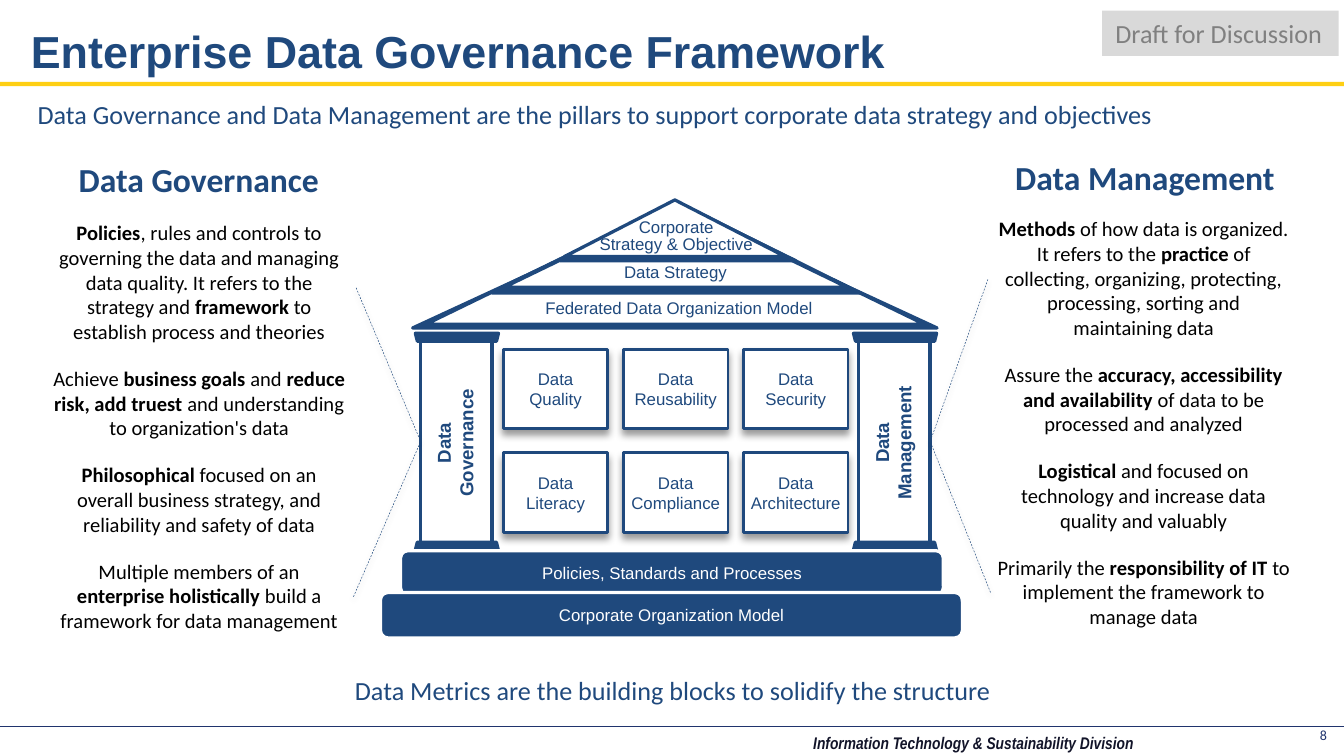
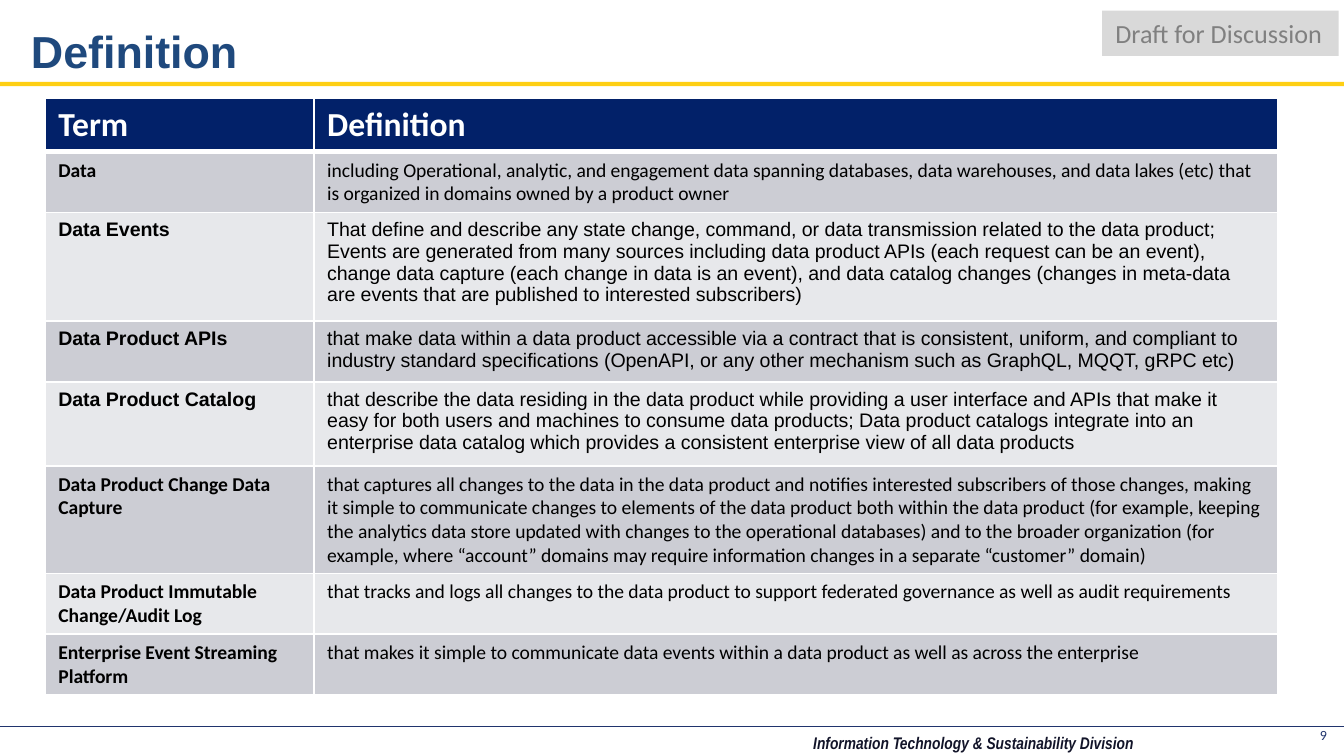
from lxml import etree
from pptx import Presentation
from pptx import util as u
from pptx.dml import color
from pptx.enum import dml, shapes, text
from pptx.oxml import ns

NAVY = "1F497D"
WHITE = "FFFFFF"
BLACK = "000000"
GOLD = "FECF13"
RULE = "20346D"
FOOTER_INK = "121429"
TAG_FILL = "D9D9D9"
TAG_INK = "808080"
TABLE_HEAD = "022169"
TABLE_BANDS = ("CCCDD4", "E7E8EB")
CENTER = text.PP_ALIGN.CENTER
LEFT = text.PP_ALIGN.LEFT
RIGHT = text.PP_ALIGN.RIGHT
KIND = shapes.MSO_SHAPE

GOVERNANCE = """*Policies*, rules and controls to governing the data and managing data quality. It refers to the strategy and *framework* to establish process and theories
Achieve *business goals *and *reduce risk, add truest *and understanding to organization's data
*Philosophical *focused on an overall business strategy, and reliability and safety of data
Multiple members of an *enterprise holistically* build a framework for data management"""

MANAGEMENT = """*Methods* of how data is organized. It refers to the *practice* of collecting, organizing, protecting, processing, sorting and maintaining data
Assure the *accuracy, accessibility and availability *of data to be processed and analyzed
*Logistical *and focused on technology and increase data quality and valuably
Primarily the *responsibility of IT *to implement the framework to manage data"""

ROOF = [
    (7.8, 3.91, 9.91, 2.29, NAVY),
    (8.05, 3.84, 9.42, 2.29, WHITE),
    (9.3, 3.81, 6.96, 1.73, NAVY),
    (9.53, 3.86, 6.48, 1.57, WHITE),
    (10.59, 3.84, 4.45, 1.09, NAVY),
    (10.67, 3.78, 4.17, 1.07, WHITE),
]

TILES = ["Data\nQuality", "Data Reusability", "Data Security",
         "Data Literacy", "Data Compliance", "Data Architecture"]

DEFINITIONS = [
    ("Data", "including Operational, analytic, and engagement data spanning databases, data warehouses, and data lakes (etc) that is organized in domains owned by a product owner", "Calibri", 1.13),
    ("Data Events", "That define and describe any state change, command, or data transmission related to the data product; Events are generated from many sources including data product APIs (each request can be an event), change data capture (each change in data is an event), and data catalog changes (changes in meta-data are events that are published to interested subscribers)", "Arial", 2.06),
    ("Data Product APIs", "that make data within a data product accessible via a contract that is consistent, uniform, and compliant to industry standard specifications (OpenAPI, or any other mechanism such as GraphQL, MQQT, gRPC etc)", "Arial", 1.13),
    ("Data Product Catalog", "that describe the data residing in the data product while providing a user interface and APIs that make it easy for both users and machines to consume data products; Data product catalogs integrate into an enterprise data catalog which provides a consistent enterprise view of all data products", "Arial", 1.58),
    ("Data Product Change Data Capture", "that captures all changes to the data in the data product and notifies interested subscribers of those changes, making it simple to communicate changes to elements of the data product both within the data product (for example, keeping the analytics data store updated with changes to the operational databases) and to the broader organization (for example, where “account” domains may require information changes in a separate “customer” domain)", "Calibri", 2.04),
    ("Data Product Immutable Change/Audit Log", "that tracks and logs all changes to the data product to support federated governance as well as audit requirements", "Calibri", 1.13),
    ("Enterprise Event Streaming Platform", "that makes it simple to communicate data events within a data product as well as across the enterprise", "Calibri", 1.13),
]


def rgb(value):
    return color.RGBColor.from_string(value)


def write(frame, content, size, ink, font="Calibri", bold=False, italic=False,
          align=LEFT, before=0, line=None):
    frame.text = content
    for paragraph in frame.paragraphs:
        pieces = paragraph.text.split("*")
        paragraph.text = ""
        paragraph.alignment = align
        paragraph.space_before = u.Pt(before)
        if line:
            paragraph.line_spacing = u.Pt(line)
        for index, piece in enumerate(pieces):
            if piece:
                run = paragraph.add_run()
                run.text = piece
                run.font.size = u.Pt(size)
                run.font.name = font
                run.font.bold = bold or index % 2 == 1
                run.font.italic = italic
                run.font.color.rgb = rgb(ink)


def set_insets(frame, side, edge):
    frame.margin_left = frame.margin_right = u.Cm(side)
    frame.margin_top = frame.margin_bottom = u.Cm(edge)


def place(shape, left, top, width, height):
    shape.left, shape.top = u.Cm(left), u.Cm(top)
    shape.width, shape.height = u.Cm(width), u.Cm(height)


def set_effects(shape, opacity=0, blur=0, distance=0):
    effects = etree.SubElement(shape._element.spPr, ns.qn("a:effectLst"))
    if opacity:
        shadow = etree.SubElement(effects, ns.qn("a:outerShdw"), blurRad=str(u.Pt(blur)),
                                  dist=str(u.Pt(distance)), dir="5400000", rotWithShape="0")
        tint = etree.SubElement(shadow, ns.qn("a:srgbClr"), val=BLACK)
        etree.SubElement(tint, ns.qn("a:alpha"), val=str(opacity * 1000))


def add_block(parent, kind, box, fill, outline=None, weight=1.75):
    block = parent.add_shape(kind, *map(u.Cm, box))
    block.fill.solid()
    block.fill.fore_color.rgb = rgb(fill)
    if outline:
        block.line.color.rgb = rgb(outline)
        block.line.width = u.Pt(weight)
    else:
        block.line.fill.background()
    return block


def add_plain_block(*args):
    block = add_block(*args)
    block.shadow.inherit = False
    return block


def add_label(parent, box, content, size, ink, wrap=True, **style):
    label = parent.add_textbox(*map(u.Cm, box))
    label.text_frame.word_wrap = wrap
    write(label.text_frame, content, size, ink, **style)
    return label


def add_line(parent, start, end, ink):
    line = parent.add_connector(shapes.MSO_CONNECTOR.STRAIGHT, *map(u.Cm, start + end))
    line.line.color.rgb = rgb(ink)
    line.line.width = u.Pt(0.25)
    return line


def add_framed_slide(deck, layout, title, title_width, number):
    slide = deck.slides.add_slide(deck.slide_layouts[layout])
    heading = slide.shapes.title
    place(heading, 0.33, 0.23, title_width, 1.07)
    frame = heading.text_frame
    frame.auto_size = text.MSO_AUTO_SIZE.NONE
    frame.vertical_anchor = text.MSO_ANCHOR.TOP
    frame.margin_top = u.Cm(0.22)
    write(frame, title, 24, NAVY, font="Arial", bold=True)

    add_plain_block(slide.shapes, KIND.RECTANGLE, (0, 1.55, 25.4, 0.08), GOLD)
    set_effects(add_line(slide.shapes, (0, 13.72), (25.4, 13.72), RULE))
    division = add_label(slide.shapes, (15.19, 13.77, 8.81, 0.56),
                         "Information Technology & Sustainability Division", 9,
                         FOOTER_INK, font="Arial Narrow", bold=True, italic=True)
    set_insets(division.text_frame, 0.18, 0.08)
    add_label(slide.shapes, (23.93, 13.61, 1.4, 0.61), number, 7.5, RULE, align=RIGHT)

    draft = add_plain_block(slide.shapes, KIND.RECTANGLE, (20.83, 0.2, 4.47, 0.86), TAG_FILL)
    draft.text_frame.word_wrap = False
    draft.text_frame.vertical_anchor = text.MSO_ANCHOR.TOP
    write(draft.text_frame, "Draft for Discussion", 14, TAG_INK)
    return slide


def fill_body(body, box, content, size, ink, **style):
    place(body, *box)
    frame = body.text_frame
    frame.auto_size = text.MSO_AUTO_SIZE.NONE
    frame.vertical_anchor = text.MSO_ANCHOR.TOP
    write(frame, content, size, ink, align=CENTER, **style)
    for paragraph in frame.paragraphs:
        props = paragraph._p.get_or_add_pPr()
        props.set("marL", "0")
        props.set("indent", "0")
        etree.SubElement(props, ns.qn("a:buNone"))


def add_column(house, left, content):
    column = add_plain_block(house, KIND.RECTANGLE, (left, 6.44, 1.35, 3.81), WHITE, NAVY)
    for top, turn in ((10.25, 0), (6.3, 180)):
        cap = add_plain_block(house, KIND.TRAPEZOID, (left - 0.1, top, 1.57, 0.15), NAVY, NAVY)
        cap.rotation = turn
    label = add_label(house, (left - 1.07, 7.81, 3.45, 1.12), content, 10, NAVY,
                      font="Arial", bold=True, align=CENTER)
    label.rotation = 270
    return column


def add_step(house, box, content):
    step = add_plain_block(house, KIND.ROUNDED_RECTANGLE, box, NAVY, WHITE)
    step.text_frame.vertical_anchor = text.MSO_ANCHOR.MIDDLE
    write(step.text_frame, content, 9, WHITE, font="Arial", align=CENTER)


def add_tile(house, index, content):
    row, position = divmod(index, 3)
    box = (9.51 + 2.27 * position, 6.6 + 1.96 * row, 1.98, 1.5)
    tile = add_block(house, KIND.RECTANGLE, box, WHITE, NAVY, 1.5)
    set_effects(tile, 40, 4, 3)
    set_insets(tile.text_frame, 0.1, 0.13)
    tile.text_frame.word_wrap = True
    tile.text_frame.vertical_anchor = text.MSO_ANCHOR.MIDDLE
    write(tile.text_frame, content, 9, NAVY, font="Arial", align=CENTER)


def add_house(slide):
    house = slide.shapes.add_group_shape().shapes
    for *box, fill in ROOF:
        add_plain_block(house, KIND.ISOSCELES_TRIANGLE, box, fill, NAVY)
    columns = [add_column(house, 7.95, "Data\nGovernance"),
               add_column(house, 16.23, "Data Management")]
    add_step(house, (7.57, 10.41, 10.26, 0.84), "Policies, Standards and Processes")
    add_step(house, (7.19, 11.2, 11, 0.86), "Corporate Organization Model")
    floors = [((9.12, 5.51, 7.42, 0.64), "Federated Data Organization Model", None),
              ((10.54, 4.83, 4.45, 0.64), "Data Strategy", None),
              ((10.8, 4.04, 3.96, 0.89), "Corporate\nStrategy & Objective", 9)]
    for box, content, line in floors:
        add_label(house, box, content, 9, NAVY, font="Arial", align=CENTER, line=line)
    for index, content in enumerate(TILES):
        add_tile(house, index, content)
    return columns


def add_callout(slide, start, column, site):
    callout = add_line(slide.shapes, start, start, NAVY)
    callout.end_connect(column, site)
    callout.line.dash_style = dml.MSO_LINE.DASH
    set_effects(callout, 38, 3.1, 1.6)


def build_framework(deck):
    slide = add_framed_slide(deck, 4, "Enterprise Data Governance Framework", 26.34, "8")
    governance, management = add_house(slide)
    sides = [(1, (0.79, 2.87), "Data Governance", (0.74, 4.04), GOVERNANCE),
             (3, (18.67, 2.84), "Data Management", (18.59, 3.96), MANAGEMENT)]
    for index, head_at, heading, body_at, content in sides:
        fill_body(slide.placeholders[index], head_at + (5.94, 1.02), heading, 18, NAVY, bold=True)
        fill_body(slide.placeholders[index + 1], body_at + (6.05, 9.02), content, 11, BLACK, before=12)
    add_label(slide.shapes, (0.46, 1.73, 21.69, 0.86),
              "Data Governance and Data Management are the pillars to support corporate data strategy and objectives",
              14, NAVY, wrap=False)
    for start, column, site in (((6.73, 5.44), governance, 1), ((6.68, 11.28), governance, 1),
                                ((18.67, 5.28), management, 3), ((18.72, 11.2), management, 3)):
        add_callout(slide, start, column, site)
    add_label(slide.shapes, (6.33, 12.62, 12.78, 0.86),
              "Data Metrics are the building blocks to solidify the structure",
              14, NAVY, wrap=False, align=CENTER)


def fill_cell(cell, content, size, ink, font, bold, fill, top, bottom):
    props = cell._tc.get_or_add_tcPr()
    for side, weight in (("L", 1), ("R", 1), ("T", top), ("B", bottom)):
        border = etree.SubElement(props, ns.qn("a:ln" + side), w=str(u.Pt(weight)))
        solid = etree.SubElement(border, ns.qn("a:solidFill"))
        etree.SubElement(solid, ns.qn("a:srgbClr"), val=WHITE)
    cell.fill.solid()
    cell.fill.fore_color.rgb = rgb(fill)
    write(cell.text_frame, content, size, ink, font=font, bold=bold)


def build_definitions(deck):
    slide = add_framed_slide(deck, 5, "Definition", 22.86, "9")
    rows = [("Term", "Definition", "Calibri", 1.02)] + DEFINITIONS
    total = sum(row[-1] for row in rows)
    box = map(u.Cm, (0.85, 1.85, 23.29, total))
    table = slide.shapes.add_table(len(rows), 2, *box).table
    table.columns[0].width, table.columns[1].width = u.Cm(5.08), u.Cm(18.21)
    for index, (term, meaning, font, height) in enumerate(rows):
        table.rows[index].height = u.Cm(height)
        head = index == 0
        size, ink = (18, WHITE) if head else (10.5, BLACK)
        fill = TABLE_HEAD if head else TABLE_BANDS[(index - 1) % 2]
        top, bottom = (3 if index == 1 else 1), (3 if head else 1)
        for column, content in enumerate((term, meaning)):
            fill_cell(table.cell(index, column), content, size, ink, font,
                      head or column == 0, fill, top, bottom)


def main():
    deck = Presentation()
    deck.slide_width, deck.slide_height = u.Cm(25.4), u.Cm(14.29)
    build_framework(deck)
    build_definitions(deck)
    deck.save("out.pptx")


if __name__ == "__main__":
    main()
